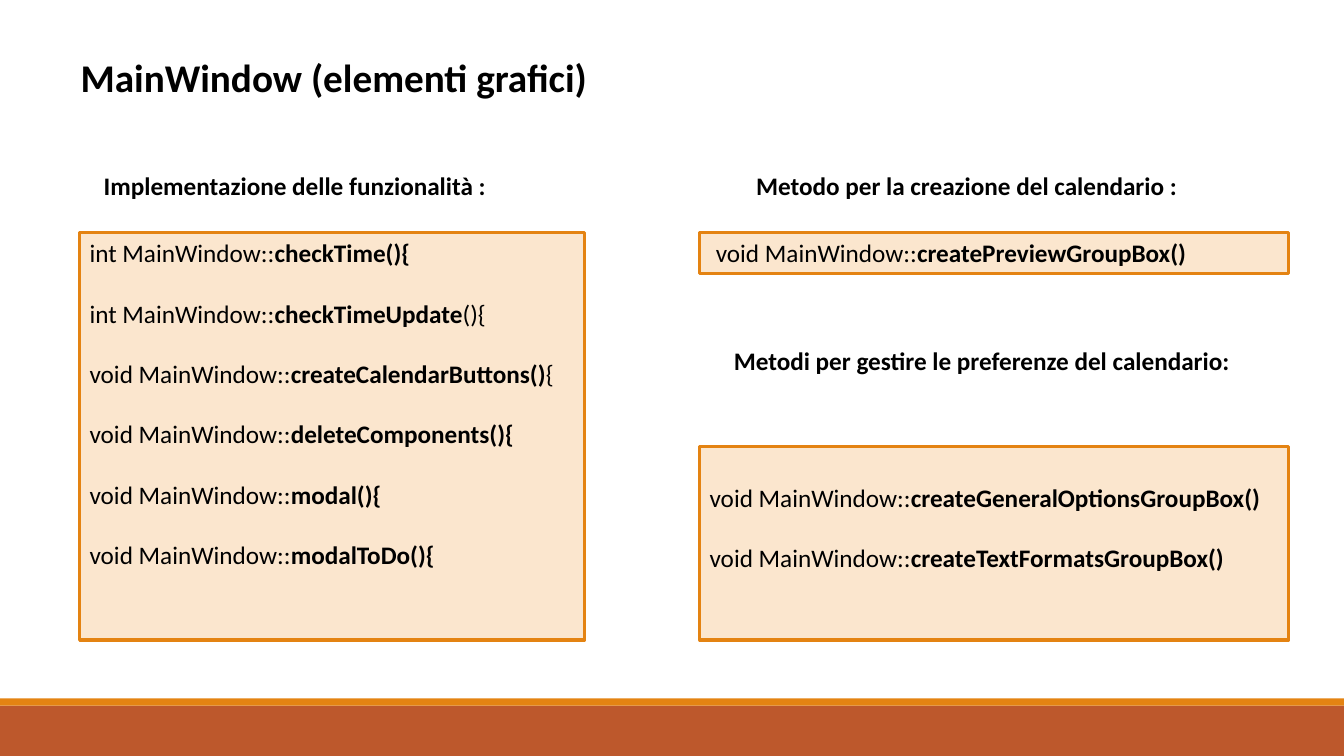
from pptx import Presentation
from pptx import util as u
from pptx.dml.color import RGBColor
from pptx.enum import shapes, text

BLACK = RGBColor(0x00, 0x00, 0x00)
RUST = RGBColor(0xBD, 0x58, 0x2C)
ORANGE = RGBColor(0xE4, 0x83, 0x12)
CREAM = RGBColor(0xFB, 0xE6, 0xCE)
FONT = "Calibri"
BODY_SIZE, TITLE_SIZE = 18, 28
METHOD_GAP = 21.5  # points between methods

# Content: a run is (text, bold)
TITLE = "MainWindow (elementi grafici)"

# Footer bars: left, top, width, height, colour
BARS = [(0, 7, 13.33, 0.5, RUST), (0, 6.93, 13.33, 0.07, ORANGE)]

# Captions: left, top, width, height, text
CAPTIONS = [
    (0.93, 1.64, 4.49, 0.4, "Implementazione delle funzionalità :"),
    (7.4, 1.64, 5.01, 0.4, "Metodo per la creazione del calendario :"),
    (7.18, 3.38, 5.16, 0.4, "Metodi per gestire le preferenze del calendario:"),
]

# Code boxes: position, left and top inset, then (return type, bold part, plain ending)
CODE_BOXES = [
    ((0.79, 2.31, 5.01, 4.04), (0.1, 0.05), [
        ("int", "checkTime(){", ""),
        ("int", "checkTimeUpdate", "(){"),
        ("void", "createCalendarButtons()", "{"),
        ("void", "deleteComponents(){", ""),
        ("void", "modal(){", ""),
        ("void", "modalToDo(){", ""),
    ]),
    ((6.94, 2.31, 5.84, 0.4), (0.16, 0.05), [
        ("void", "createPreviewGroupBox()", ""),
    ]),
    ((6.94, 4.43, 5.84, 1.92), (0.1, 0.35), [
        ("void", "createGeneralOptionsGroupBox()", ""),
        ("void", "createTextFormatsGroupBox()", ""),
    ]),
]


def place(box, left, top, width, height):
    box.left, box.top = u.Inches(left), u.Inches(top)
    box.width, box.height = u.Inches(width), u.Inches(height)


def write(box, lines, size, insets=(0.1, 0.05)):
    frame = box.text_frame
    frame.word_wrap = True
    frame.auto_size = text.MSO_AUTO_SIZE.NONE
    frame.vertical_anchor = text.MSO_ANCHOR.TOP
    frame.margin_left, frame.margin_top = map(u.Inches, insets)
    frame.margin_right, frame.margin_bottom = u.Inches(0.1), u.Inches(0.05)
    for index, runs in enumerate(lines):
        para = frame.add_paragraph() if index else frame.paragraphs[0]
        para.alignment = text.PP_ALIGN.LEFT
        para.space_before = u.Pt(METHOD_GAP if index else 0)
        for words, bold in runs:
            span = para.add_run()
            span.text = words
            span.font.name = FONT
            span.font.size = u.Pt(size)
            span.font.bold = bold
            span.font.color.rgb = BLACK


def add_rectangle(page, position, fill):
    box = page.shapes.add_shape(shapes.MSO_SHAPE.RECTANGLE, *map(u.Inches, position))
    box.shadow.inherit = False
    box.fill.solid()
    box.fill.fore_color.rgb = fill
    box.line.fill.background()
    return box


def main():
    deck = Presentation()
    deck.slide_width, deck.slide_height = u.Inches(13.33), u.Inches(7.5)
    page = deck.slides.add_slide(deck.slide_layouts[5])

    # Footer bars
    for *position, colour in BARS:
        add_rectangle(page, position, colour)

    # Title
    title = page.shapes.title
    place(title, 0.7, 0.48, 11.93, 0.57)
    write(title, [[(TITLE, True)]], TITLE_SIZE)

    # Code boxes
    for position, insets, methods in CODE_BOXES:
        box = add_rectangle(page, position, CREAM)
        box.line.color.rgb = ORANGE
        box.line.width = u.Pt(2.25)
        lines = []
        for kind, name, ending in methods:
            runs = [(f"{kind} MainWindow::", False), (name, True)]
            if ending:
                runs.append((ending, False))
            lines.append(runs)
        write(box, lines, BODY_SIZE, insets)

    # Captions
    for *position, words in CAPTIONS:
        box = page.shapes.add_textbox(*map(u.Inches, position))
        write(box, [[(words, True)]], BODY_SIZE)

    deck.save("out.pptx")


if __name__ == "__main__":
    main()
